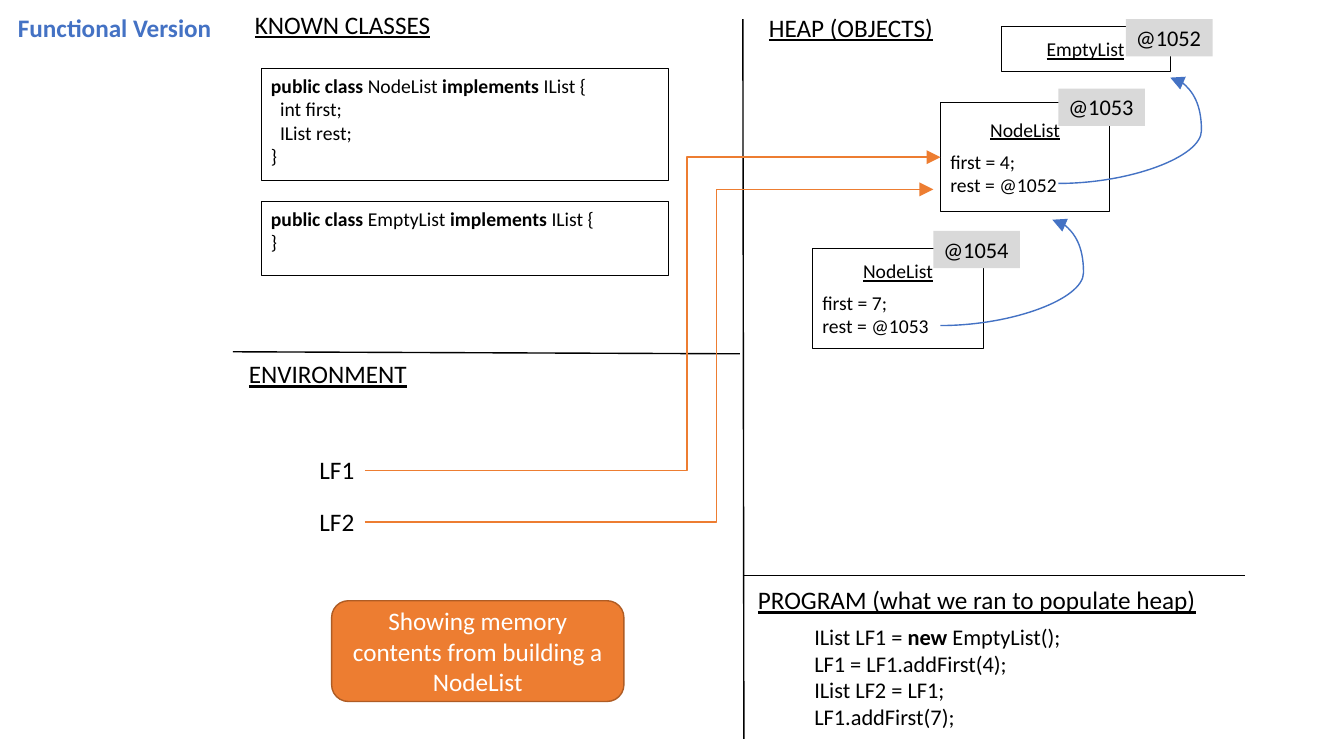
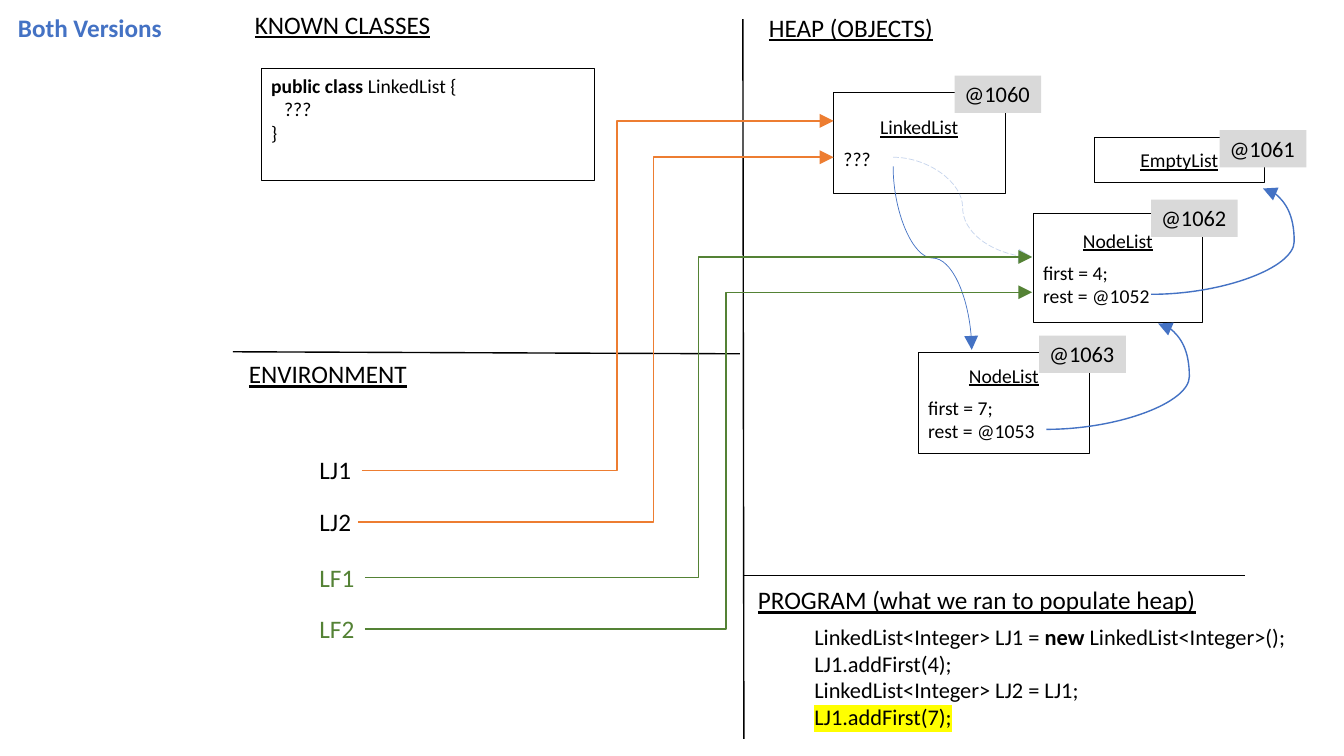
import pptx
import pptx.util
import pptx.dml.color
import pptx.enum.dml
import pptx.enum.shapes
import pptx.enum.text
import pptx.oxml
import pptx.oxml.ns

RGB = pptx.dml.color.RGBColor
BLACK = RGB(0x00, 0x00, 0x00)
WHITE = RGB(0xFF, 0xFF, 0xFF)
BLUE = RGB(0x44, 0x72, 0xC4)
ORANGE = RGB(0xED, 0x7D, 0x31)
BROWN = RGB(0xAF, 0x5C, 0x24)
GREEN = RGB(0x54, 0x82, 0x35)
GRAY = RGB(0xD9, 0xD9, 0xD9)
YELLOW = RGB(0xFF, 0xFF, 0x00)
FONT = "Calibri"

KIND = pptx.enum.shapes.MSO_CONNECTOR
SHAPE = pptx.enum.shapes.MSO_SHAPE
ALIGN = pptx.enum.text.PP_ALIGN
ANCHOR = pptx.enum.text.MSO_ANCHOR
GROW = pptx.enum.text.MSO_AUTO_SIZE.SHAPE_TO_FIT_TEXT
LONG_DASH = pptx.enum.dml.MSO_LINE.LONG_DASH

# Shared frame: (text, left, top, width) and (x1, y1, x2, y2)
HEADINGS = [
    ("KNOWN CLASSES", 2.43, 0.04, 1.97),
    ("HEAP (OBJECTS)", 7.53, 0.07, 1.84),
    ("ENVIRONMENT", 2.37, 3.51, 1.78),
    ("PROGRAM (what we ran to populate heap)", 7.42, 5.75, 4.59),
]
DIVIDERS = [
    (7.37, 0.19, 7.38, 7.33),
    (2.31, 3.49, 7.34, 3.51),
    (7.37, 5.71, 12.35, 5.71),
]
LABEL_X, LABEL_H = 3.07, 0.4
CLASS_X = 2.59
PROGRAM_X, PROGRAM_Y, PROGRAM_H = 7.98, 6.13, 1.17
TAG_W, TAG_H = 0.86, 0.37
REF_W, REF_H, REF_BULGE = 1.11, 1.05, 0.31

# Heap box forms: width, height, tag offset across, tag offset down
HEAP_FORMS = {
    "empty": (1.68, 0.45, 1.24, -0.07),
    "inner": (1.68, 1.08, 1.17, -0.14),
    "outer": (1.7, 1, 1.2, -0.17),
}

# A run is (text, style): b bold, u underlined, h highlighted.
# classes: top, width, height, lines of (indent, runs)
# heap: form, left, top, tag, name, fields
# variables: name, top, width, text colour, arrow colour,
#            then start x, start y, bend x, tip x, tip y
# links: ends of a thin curve and its line options
SLIDES = [
    {
        "title": ("Functional Version", 2.14),
        "classes": [
            (0.68, 4.04, 1.11, [
                (0, [("public class ", "b"), ("NodeList ", ""),
                     ("implements ", "b"), ("IList {", "")]),
                (0.09, [("int first;", "")]),
                (0.09, [("IList rest;", "")]),
                (0, [("}", "")])]),
            (2, 4.04, 0.73, [
                (0, [("public class ", "b"), ("EmptyList ", ""),
                     ("implements ", "b"), ("IList {", "")]),
                (0, [("}", "")])]),
        ],
        "program": (4.03, [
            [("IList LF1 = ", ""), ("new ", "b"), ("EmptyList();", "")],
            [("LF1 = LF1.addFirst(4);", "")],
            [("IList LF2 = LF1;", "")],
            [("LF1.addFirst(7);", "")]]),
        "heap": [
            ("empty", 9.93, 0.26, "@1052", "EmptyList", []),
            ("inner", 9.33, 1.02, "@1053", "NodeList", ["first = 4;", "rest = @1052"]),
            ("outer", 8.06, 2.46, "@1054", "NodeList", ["first = 7;", "rest = @1053"]),
        ],
        "variables": [
            ("LF1", 4.46, 0.55, BLACK, ORANGE, 3.62, 4.67, 6.82, 9.33, 1.56),
            ("LF2", 4.97, 0.55, BLACK, ORANGE, 3.62, 5.18, 7.11, 9.26, 1.88),
        ],
        "references": [(10.5, 1.82), (9.33, 3.23)],
        "links": [],
    },
    {
        "title": ("Both Versions", 1.64),
        "classes": [
            (0.68, 3.31, 1.11, [
                (0, [("public class", "b"), (" LinkedList {", "")]),
                (0.13, [("???", "")]),
                (0, [("}", "")])]),
        ],
        "program": (5.19, [
            [("LinkedList<Integer> LJ1 = ", ""), ("new ", "b"),
             ("LinkedList<Integer>();", "")],
            [("LJ1.addFirst(4);", "")],
            [("LinkedList<Integer> LJ2 = LJ1;", "")],
            [("LJ1.addFirst(7);", "h")]]),
        "heap": [
            ("empty", 10.86, 1.36, "@1061", "EmptyList", []),
            ("inner", 10.25, 2.12, "@1062", "NodeList", ["first = 4;", "rest = @1052"]),
            ("outer", 8.27, 0.92, "@1060", "LinkedList", ["???"]),
            ("outer", 9.11, 3.5, "@1063", "NodeList", ["first = 7;", "rest = @1053"]),
        ],
        "variables": [
            ("LJ1", 4.46, 0.52, BLACK, ORANGE, 3.59, 4.67, 6.12, 8.27, 1.2),
            ("LJ2", 4.97, 0.52, BLACK, ORANGE, 3.55, 5.18, 6.48, 8.27, 1.56),
            ("LF1", 5.53, 0.55, GREEN, GREEN, 3.62, 5.73, 6.93, 10.24, 2.55),
            ("LF2", 6.04, 0.55, GREEN, GREEN, 3.62, 6.24, 7.2, 10.24, 2.9),
        ],
        "references": [(11.42, 2.92), (10.38, 4.26)],
        "links": [
            ((8.86, 1.56, 10.24, 2.55), {"dash": LONG_DASH, "alpha": 30}),
            ((10.16, 2.17, 8.34, 2.95), {"turn": 270}),
        ],
    },
]
MEMORY_NOTE = "Showing memory contents from building a NodeList"


def inches(*lengths):
    """Convert lengths in inches to slide units."""
    return [pptx.util.Inches(v) for v in lengths]


def add_child(parent, tag, **attributes):
    """Append a drawing element with the given attributes."""
    child = pptx.oxml.parse_xml("<%s %s/>" % (tag, pptx.oxml.ns.nsdecls("a")))
    for name, value in attributes.items():
        child.set(name, str(value))
    parent.append(child)
    return child


def add_run(p, text, size, color=BLACK, style=""):
    """Add one styled run to a paragraph."""
    r = p.add_run()
    r.text = text
    r.font.size = pptx.util.Pt(size)
    r.font.name = FONT
    r.font.color.rgb = color
    r.font.bold = "b" in style
    r.font.underline = "u" in style
    if "h" in style:
        fill = r.font.fill._xPr.find(pptx.oxml.ns.qn("a:solidFill"))
        mark = add_child(fill.getparent(), "a:highlight")
        add_child(mark, "a:srgbClr", val=YELLOW)
        fill.addnext(mark)


def next_paragraph(tf, index, align=ALIGN.LEFT):
    """Return the first paragraph, or a new one after it, aligned."""
    p = tf.add_paragraph() if index else tf.paragraphs[0]
    p.alignment = align
    return p


def fit_one_line(tf):
    """Let the frame grow with its text instead of wrapping it."""
    tf.word_wrap = False
    tf.auto_size = GROW


def add_label(s, text, x, y, w, style="", color=BLACK):
    """Add a one-line label that does not wrap."""
    tf = s.shapes.add_textbox(*inches(x, y, w, LABEL_H)).text_frame
    fit_one_line(tf)
    add_run(tf.paragraphs[0], text, 18, color, style)


def add_box(shapes, x, y, w, h, fill=None, line=None, weight=0.5,
            form=SHAPE.RECTANGLE, anchor=ANCHOR.MIDDLE):
    """Add a box and return its text frame."""
    box = shapes.add_shape(form, *inches(x, y, w, h))
    box.shadow.inherit = False
    if fill is None:
        box.fill.background()
    else:
        box.fill.solid()
        box.fill.fore_color.rgb = fill
    if line is None:
        box.line.fill.background()
    else:
        box.line.color.rgb = line
        box.line.width = pptx.util.Pt(weight)
    tf = box.text_frame
    tf.word_wrap = True
    tf.vertical_anchor = anchor
    return tf


def add_line(s, kind, x1, y1, x2, y2, color=BLACK, weight=1, bend=None,
             arrow=True, dash=None, alpha=None, turn=None):
    """Add a line; bend is the x of the middle leg, turn a rotation in degrees."""
    c = s.shapes.add_connector(kind, *inches(x1, y1, x2, y2))
    c.line.color.rgb = color
    c.line.width = pptx.util.Pt(weight)
    if dash is not None:
        c.line.dash_style = dash
    sp_pr = c._element.spPr
    ln = c.line._get_or_add_ln()
    if alpha is not None:
        add_child(next(ln.iter(pptx.oxml.ns.qn("a:srgbClr"))), "a:alpha",
                  val=alpha * 1000)
    if arrow:
        add_child(ln, "a:tailEnd", type="triangle", w="lg", len="lg")
    add_child(sp_pr, "a:effectLst")
    if bend is not None:
        geom = sp_pr.find(pptx.oxml.ns.qn("a:prstGeom"))
        guides = geom.find(pptx.oxml.ns.qn("a:avLst"))
        if guides is None:
            guides = add_child(geom, "a:avLst")
        share = round((bend - x1) / (x2 - x1) * 100000)
        add_child(guides, "a:gd", name="adj1", fmla="val %d" % share)
    if turn is not None:
        sp_pr.find(pptx.oxml.ns.qn("a:xfrm")).set("rot", str(turn * 60000))


def add_class(s, y, w, h, lines):
    """Add a class definition with indented code lines."""
    tf = add_box(s.shapes, CLASS_X, y, w, h, line=BLACK, anchor=ANCHOR.TOP)
    for i, (indent, runs) in enumerate(lines):
        p = next_paragraph(tf, i)
        if indent:
            p._p.get_or_add_pPr().set("marL", str(pptx.util.Inches(indent)))
        for text, style in runs:
            add_run(p, text, 14, style=style)


def add_program(s, w, lines):
    """Add the program as one paragraph with line breaks."""
    tf = s.shapes.add_textbox(*inches(PROGRAM_X, PROGRAM_Y, w, PROGRAM_H)).text_frame
    tf.word_wrap = True
    p = tf.paragraphs[0]
    for i, runs in enumerate(lines):
        if i:
            p.add_line_break()
        for text, style in runs:
            add_run(p, text, 16, style=style)


def add_heap_object(s, form, x, y, tag, name, fields):
    """Add a heap object grouped with its address tag."""
    w, h, dx, dy = HEAP_FORMS[form]
    group = s.shapes.add_group_shape()
    tf = add_box(group.shapes, x, y, w, h, line=BLACK)
    p = next_paragraph(tf, 0, ALIGN.CENTER)
    p.space_after = pptx.util.Pt(6)
    add_run(p, name, 14, style="u")
    for i, field in enumerate(fields, 1):
        add_run(next_paragraph(tf, i), field, 14)
    tf = add_box(group.shapes, x + dx, y + dy, TAG_W, TAG_H, fill=GRAY,
                 anchor=ANCHOR.TOP)
    fit_one_line(tf)
    add_run(next_paragraph(tf, 0), tag, 16)


def add_memory_slide(prs, content):
    """Add one memory diagram and return its slide."""
    s = prs.slides.add_slide(prs.slide_layouts[6])
    for text, x, y, w in HEADINGS:
        add_label(s, text, x, y, w, "u")
    for ends in DIVIDERS:
        add_line(s, KIND.STRAIGHT, *ends, arrow=False)
    title, width = content["title"]
    add_label(s, title, 0.08, 0.07, width, "b", BLUE)
    for definition in content["classes"]:
        add_class(s, *definition)
    add_program(s, *content["program"])
    for item in content["heap"]:
        add_heap_object(s, *item)
    for x, y in content["references"]:
        add_line(s, KIND.CURVE, x, y, x + REF_W, y - REF_H, BLUE,
                 bend=x + REF_W + REF_BULGE)
    for ends, options in content["links"]:
        add_line(s, KIND.CURVE, *ends, BLUE, 0.5, **options)
    for name, y, w, ink, color, x1, y1, bend, x2, y2 in content["variables"]:
        add_label(s, name, LABEL_X, y, w, color=ink)
        add_line(s, KIND.ELBOW, x1, y1, x2, y2, color, bend=bend)
    return s


prs = pptx.Presentation()
prs.slide_width, prs.slide_height = inches(40 / 3, 7.5)
functional, both = [add_memory_slide(prs, content) for content in SLIDES]

note = add_box(functional.shapes, 3.29, 5.96, 2.9, 1, ORANGE, BROWN, 1,
               SHAPE.ROUNDED_RECTANGLE)
add_run(next_paragraph(note, 0, ALIGN.CENTER), MEMORY_NOTE, 18, WHITE)

prs.save("out.pptx")
